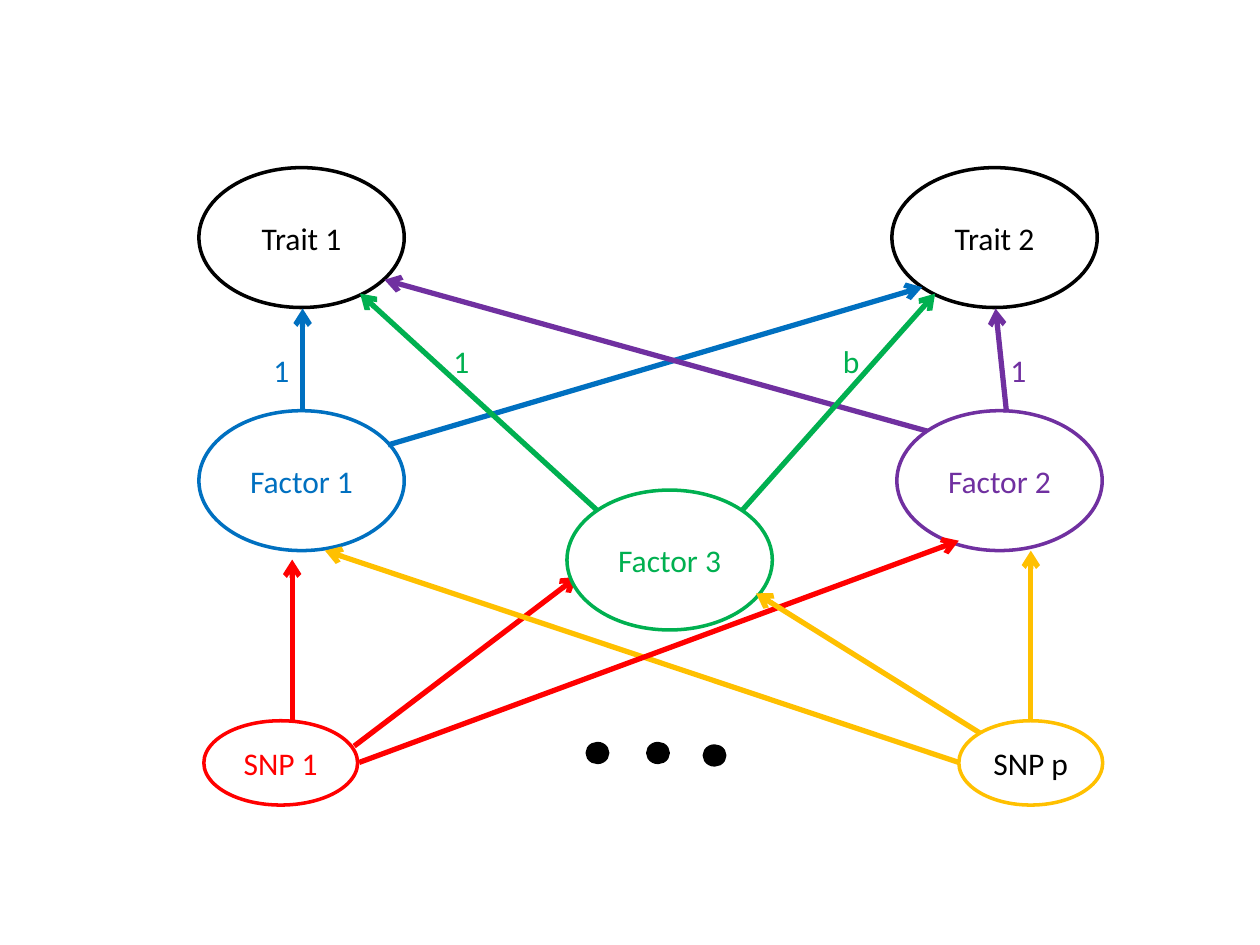
from lxml.etree import SubElement
from pptx import Presentation
from pptx.dml.color import RGBColor
from pptx.enum.shapes import MSO_CONNECTOR as CONN, MSO_SHAPE as SHAPE
from pptx.enum.text import MSO_ANCHOR as ANCHOR, PP_ALIGN as ALIGN
from pptx.oxml.ns import qn
from pptx.util import Cm, Pt

COLORS = {
    "black": "000000", "white": "FFFFFF", "blue": "0070C0", "purple": "7030A0",
    "green": "00B050", "red": "FF0000", "gold": "FFC000",
}
NODE = (4.14, 2.82)
DOT = (0.41, 0.38)
LABEL = (0.84, 1.02)


class Diagram:
    font = "Calibri"
    size = Pt(18)
    outline = Pt(2)
    arrow_width = Pt(3)

    def __init__(self, slide):
        self.s = slide

    def color(self, name):
        return RGBColor.from_string(COLORS[name])

    def text(self, sp, words, color, align):
        tf = sp.text_frame
        tf.word_wrap = False
        p = tf.paragraphs[0]
        p.alignment = align
        r = p.add_run()
        r.text = words
        r.font.name = self.font
        r.font.size = self.size
        r.font.color.rgb = self.color(color)

    def ellipse(self, x, y, size, line, fill="white"):
        sp = self.s.shapes.add_shape(SHAPE.OVAL, Cm(x), Cm(y), *map(Cm, size))
        sp.shadow.inherit = False
        sp.fill.solid()
        sp.fill.fore_color.rgb = self.color(fill)
        sp.line.color.rgb = self.color(line)
        sp.line.width = self.outline
        return sp

    def node(self, words, x, y, line, size=NODE, ink=None):
        sp = self.ellipse(x, y, size, line)
        sp.text_frame.vertical_anchor = ANCHOR.MIDDLE
        self.text(sp, words, ink or line, ALIGN.CENTER)

    def label(self, words, x, y, color):
        sp = self.s.shapes.add_textbox(Cm(x), Cm(y), *map(Cm, LABEL))
        self.text(sp, words, color, ALIGN.LEFT)

    def arrow(self, color, *ends):
        c = self.s.shapes.add_connector(CONN.STRAIGHT, *map(Cm, ends))
        c.line.color.rgb = self.color(color)
        c.line.width = self.arrow_width
        props = c._element.spPr
        SubElement(props.find(qn("a:ln")), qn("a:tailEnd"), type="arrow")
        SubElement(props, qn("a:effectLst"))


def main():
    prs = Presentation()
    prs.slide_width, prs.slide_height = Cm(25.4), Cm(19.05)
    d = Diagram(prs.slides.add_slide(prs.slide_layouts[6]))

    d.node("Trait 1", 4.01, 3.38, "black")
    d.node("Trait 2", 17.98, 3.38, "black")
    d.node("Factor 1", 4.01, 8.28, "blue")
    d.node("Factor 2", 18.08, 8.28, "purple")
    for arrow in (
        ("blue", 6.1, 8.28, 6.1, 6.22),
        ("blue", 7.82, 8.97, 18.59, 5.79),
        ("purple", 20.29, 8.31, 20.07, 6.22),
        ("purple", 18.69, 8.69, 7.75, 5.64),
    ):
        d.arrow(*arrow)

    d.node("SNP 1", 4.11, 14.53, "red", (3.1, 1.7))
    d.node("SNP p", 19.33, 14.53, "gold", (2.9, 1.7), "black")
    for x, y in ((14.2, 15.04), (13.06, 14.99), (11.84, 14.99)):
        d.ellipse(x, y, DOT, "black", "black")
    for arrow in (
        ("red", 5.89, 14.55, 5.89, 11.28),
        ("red", 7.14, 15.04, 11.63, 11.63),
        ("gold", 20.78, 14.53, 20.78, 11.1),
        ("gold", 19.33, 15.37, 6.55, 11.1),
    ):
        d.arrow(*arrow)

    d.node("Factor 3", 11.43, 9.88, "green")
    for arrow in (
        ("green", 12.04, 10.29, 7.26, 5.92),
        ("green", 14.96, 10.29, 18.85, 5.92),
        ("red", 7.24, 15.37, 19.33, 10.9),
        ("gold", 19.76, 14.78, 15.24, 11.96),
    ):
        d.arrow(*arrow)

    for label in (
        ("1", 5.26, 6.96, "blue"),
        ("1", 20.12, 6.96, "purple"),
        ("1", 8.89, 6.78, "green"),
        ("b", 16.74, 6.78, "green"),
    ):
        d.label(*label)
    prs.save("out.pptx")


if __name__ == "__main__":
    main()
